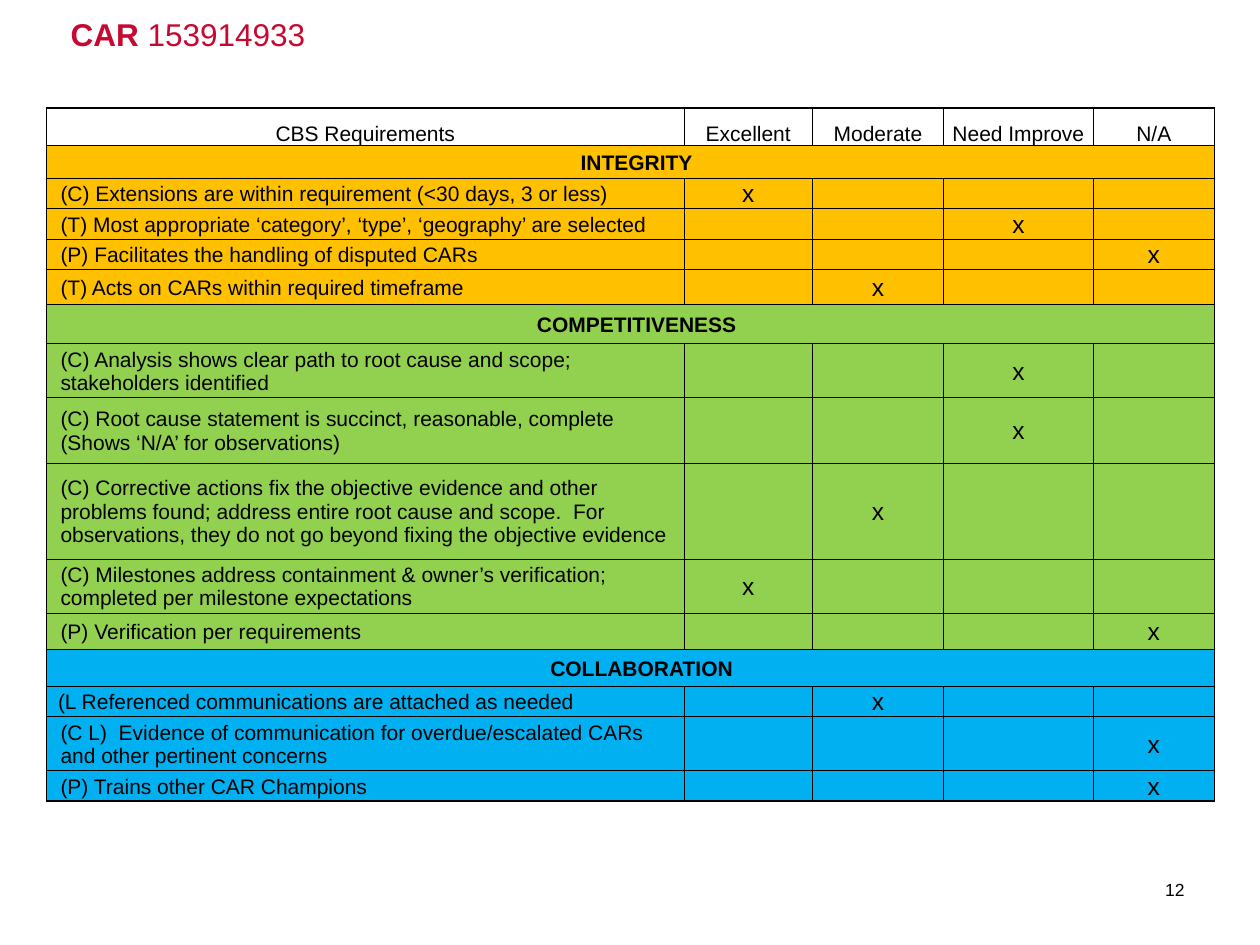
import pptx
import pptx.dml.color
import pptx.enum.text
import pptx.oxml.ns
import pptx.util
from lxml import etree

Cm = pptx.util.Cm
Pt = pptx.util.Pt
RGB = pptx.dml.color.RGBColor.from_string
qn = pptx.oxml.ns.qn
ALIGN = pptx.enum.text.PP_ALIGN
ANCHOR = pptx.enum.text.MSO_ANCHOR

THEME = {
    "font": "Arial",
    "title": "C70932",
    "ink": "000000",
    "integrity": "FFC000",
    "competitiveness": "92D050",
    "collaboration": "00B0F0",
    "title_size": 18,
    "body_size": 12,
    "mark_size": 14,
    "number_size": 10,
    "outer_line": 1,
    "inner_line": 0.5,
}

HEADINGS = ["CBS Requirements", "Excellent", "Moderate", "Need Improve", "N/A"]
COLUMN_WIDTHS = [12.85, 2.59, 2.64, 3.02, 2.44]
EXCELLENT, MODERATE, IMPROVE, NOT_APPLICABLE = range(1, 5)

SECTIONS = [
    ("integrity", 0.66, [
        ("(C) Extensions are within requirement (<30 days, 3 or less)", EXCELLENT, 0.61),
        ("(T) Most appropriate ‘category’, ‘type’, ‘geography’ are selected", IMPROVE, 0.61),
        ("(P) Facilitates the handling of disputed CARs", NOT_APPLICABLE, 0.61),
        ("(T) Acts on CARs within required timeframe", MODERATE, 0.71),
    ]),
    ("competitiveness", 0.79, [
        ("(C) Analysis shows clear path to root cause and scope;\nstakeholders identified", IMPROVE, 1.09),
        ("(C) Root cause statement is succinct, reasonable, complete\n(Shows ‘N/A’ for observations)", IMPROVE, 1.32),
        ("(C) Corrective actions fix the objective evidence and other problems found; "
         "address entire root cause and scope.  For observations, they do not go beyond "
         "fixing the objective evidence", MODERATE, 1.93),
        ("(C) Milestones address containment & owner’s verification; "
         "completed per milestone expectations", EXCELLENT, 1.09),
        ("(P) Verification per requirements", NOT_APPLICABLE, 0.74),
    ]),
    ("collaboration", 0.74, [
        ("(L Referenced communications are attached as needed", MODERATE, 0.61),
        ("(C L)  Evidence of communication for overdue/escalated CARs "
         "and other pertinent concerns", NOT_APPLICABLE, 1.09),
        ("(P) Trains other CAR Champions", NOT_APPLICABLE, 0.61),
    ]),
]


def format_run(run, size, color, bold=False):
    values = {"name": THEME["font"], "size": Pt(size), "bold": bold}
    for attribute, value in values.items():
        setattr(run.font, attribute, value)
    run.font.color.rgb = RGB(color)


def fill_cell(cell, text, size, edges, fill=None, bold=False, align=ALIGN.CENTER,
              anchor=ANCHOR.MIDDLE, left=0.03, indent=None):
    values = {"margin_left": Cm(left), "margin_top": Cm(0.03), "margin_right": Cm(0.03),
              "margin_bottom": 0, "vertical_anchor": anchor}
    for attribute, value in values.items():
        setattr(cell, attribute, value)
    properties = cell._tc.get_or_add_tcPr()
    for side, outer in zip("LRTB", edges):
        width = THEME["outer_line" if outer else "inner_line"]
        border = etree.SubElement(properties, qn(f"a:ln{side}"), w=str(Pt(width)))
        solid = etree.SubElement(border, qn("a:solidFill"))
        etree.SubElement(solid, qn("a:srgbClr"), val=THEME["ink"])
    if fill:
        cell.fill.solid()
        cell.fill.fore_color.rgb = RGB(fill)
    else:
        cell.fill.background()
    cell.text_frame.text = text
    for paragraph in cell.text_frame.paragraphs:
        paragraph.alignment = align
        if indent is not None:
            paragraph.level = 1 if indent else 0
            paragraph_properties = paragraph._p.get_or_add_pPr()
            paragraph_properties.set("marL", str(Cm(indent)))
            paragraph_properties.set("indent", "0")
        for run in paragraph.runs:
            format_run(run, size, THEME["ink"], bold)
        if not text:
            etree.SubElement(paragraph._p, qn("a:endParaRPr"), sz=str(size * 100))


deck = pptx.Presentation()
deck.slide_width = Cm(25.4)
deck.slide_height = Cm(19.05)
slide = deck.slides.add_slide(deck.slide_layouts[5])

title = slide.shapes.title
title_box = {"left": Cm(1.17), "top": Cm(0.18), "width": Cm(9.52), "height": Cm(0.99)}
for attribute, value in title_box.items():
    setattr(title, attribute, value)
title.text_frame.auto_size = pptx.enum.text.MSO_AUTO_SIZE.NONE
title.text_frame.vertical_anchor = ANCHOR.MIDDLE
title_line = title.text_frame.paragraphs[0]
title_line.alignment = ALIGN.LEFT
for text, bold in [("CAR ", True), ("153914933", False)]:
    run = title_line.add_run()
    run.text = text
    format_run(run, THEME["title_size"], THEME["title"], bold)

rows = [(None, None, 0.76, None)]
for section, heading_height, requirements in SECTIONS:
    rows.append((section, section.upper(), heading_height, None))
    rows += [(section, text, height, rating) for text, rating, height in requirements]

scorecard = slide.shapes.add_table(
    len(rows), len(HEADINGS), Cm(0.94), Cm(2.18),
    Cm(sum(COLUMN_WIDTHS)), Cm(sum(row[2] for row in rows))).table
scorecard.first_row = False
scorecard.horz_banding = False
for column, width in zip(scorecard.columns, COLUMN_WIDTHS):
    column.width = Cm(width)

last_row, last_column = len(rows) - 1, len(HEADINGS) - 1
for row_index, (section, text, height, rating) in enumerate(rows):
    scorecard.rows[row_index].height = Cm(height)
    is_section = section is not None and rating is None
    if is_section:
        scorecard.cell(row_index, 0).merge(scorecard.cell(row_index, last_column))
    for column_index, heading in enumerate(HEADINGS):
        cell = scorecard.cell(row_index, column_index)
        edges = (column_index == 0, is_section or column_index == last_column,
                 row_index == 0, row_index == last_row)
        if section is None:
            fill_cell(cell, heading, THEME["body_size"], edges, anchor=ANCHOR.BOTTOM)
        elif column_index == 0:
            is_flush = text.startswith("(L ")
            fill_cell(cell, text, THEME["body_size"], edges, THEME[section],
                      bold=is_section, align=ALIGN.CENTER if is_section else ALIGN.LEFT,
                      left=0.23 if is_flush or text == "COLLABORATION" else 0.03,
                      indent=0 if is_flush else 0.25)
        else:
            fill_cell(cell, "x" if column_index == rating else "",
                      THEME["mark_size"] if column_index == rating else THEME["body_size"],
                      edges, THEME[section])

page_number = slide.shapes.add_textbox(Cm(22.35), Cm(17.42), Cm(1.78), Cm(1.02))
page_number.text_frame.word_wrap = True
page_number.text_frame.vertical_anchor = ANCHOR.MIDDLE
page_line = page_number.text_frame.paragraphs[0]
page_line.alignment = ALIGN.RIGHT
run = page_line.add_run()
run.text = "12"
format_run(run, THEME["number_size"], THEME["ink"])

deck.save("out.pptx")
